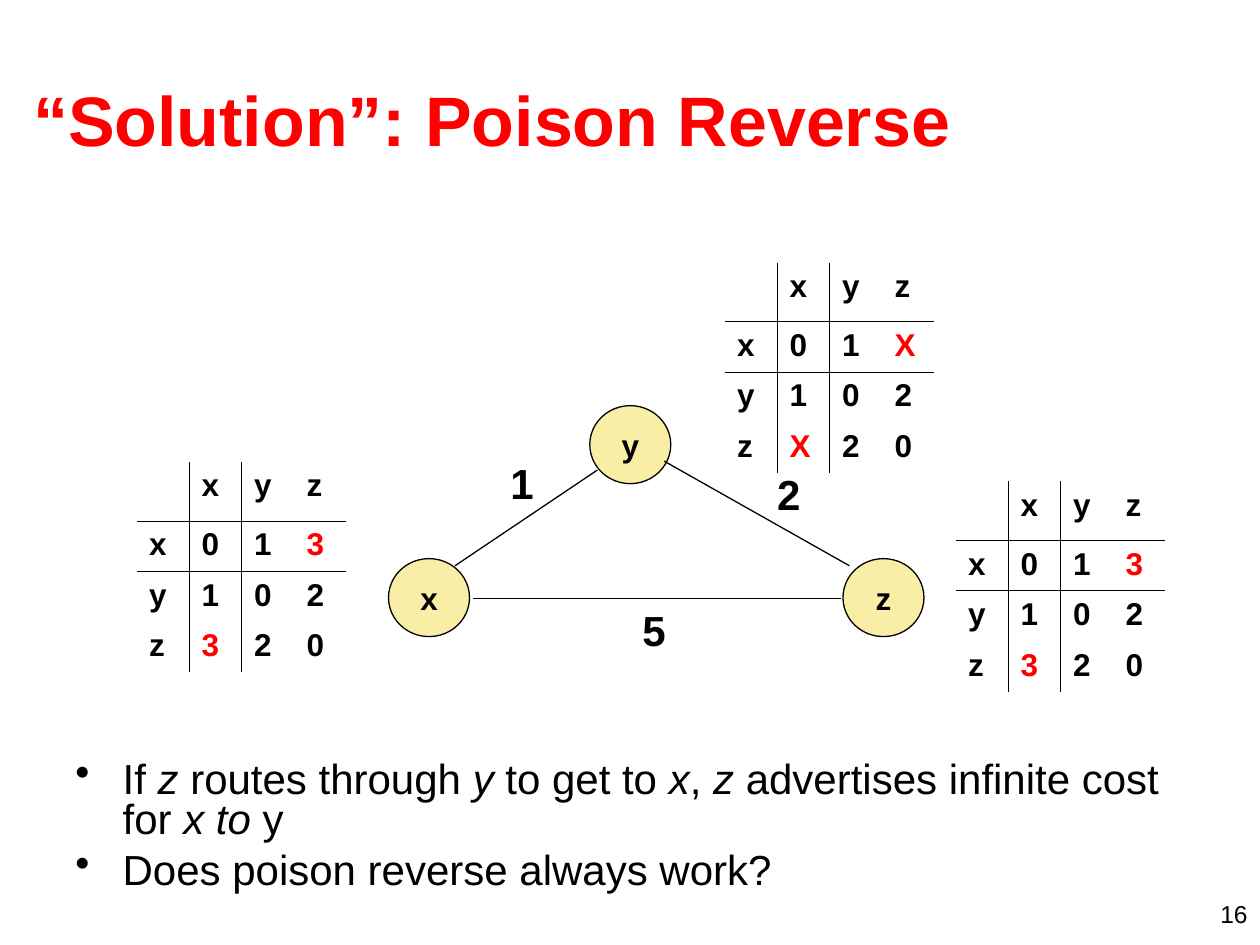
from dataclasses import dataclass

from lxml import etree
from pptx import Presentation
from pptx.dml.color import RGBColor
from pptx.enum.shapes import MSO_CONNECTOR, MSO_SHAPE
from pptx.enum.text import MSO_ANCHOR, PP_ALIGN
from pptx.oxml.ns import qn
from pptx.util import Pt

STRAIGHT = MSO_CONNECTOR.STRAIGHT
OVAL = MSO_SHAPE.OVAL
MIDDLE = MSO_ANCHOR.MIDDLE
TOP = MSO_ANCHOR.TOP
LEFT, CENTER, RIGHT = PP_ALIGN.LEFT, PP_ALIGN.CENTER, PP_ALIGN.RIGHT
PLAIN_TABLE = "{2D5ABB26-0587-4C30-8999-92F81FD0307C}"


@dataclass(frozen=True)
class Theme:
    """Colours, font and type sizes of the slide."""
    font: str = "Arial"
    ink: RGBColor = RGBColor(0x00, 0x00, 0x00)
    accent: RGBColor = RGBColor(0xFF, 0x00, 0x00)
    node: RGBColor = RGBColor(0xF8, 0xEE, 0xA6)
    title_size: float = 40
    body_size: float = 24
    cell_size: float = 18
    number_size: float = 14
    line: float = 0.75
    rule: float = 0.45


THEME = Theme()
NODES = "xyz"


def style(para, size, color=THEME.ink, bold=False, align=LEFT):
    """Set the font and alignment of a paragraph."""
    para.alignment = align
    para.font.name = THEME.font
    para.font.size = Pt(size)
    para.font.bold = bold
    para.font.color.rgb = color


def add_text(page, box, text, size, color=THEME.ink, bold=True, align=LEFT, anchor=TOP):
    """Place one line of text in a box."""
    frame = page.shapes.add_textbox(*map(Pt, box)).text_frame
    frame.word_wrap = True
    frame.vertical_anchor = anchor
    frame.text = text
    style(frame.paragraphs[0], size, color, bold, align)


def add_bullets(page, box, items):
    """Place bulleted paragraphs, each a list of (text, italic) spans."""
    frame = page.shapes.add_textbox(*map(Pt, box)).text_frame
    frame.word_wrap = True
    for index, spans in enumerate(items):
        para = frame.paragraphs[0] if index == 0 else frame.add_paragraph()
        properties = para._p.get_or_add_pPr()
        properties.set("marL", str(Pt(27)))
        properties.set("indent", str(-Pt(27)))
        color = etree.SubElement(properties, qn("a:buClr"))
        etree.SubElement(color, qn("a:srgbClr"), val=str(THEME.ink))
        etree.SubElement(properties, qn("a:buChar"), char="•")
        para.line_spacing = 0.8
        if index:
            para.space_before = Pt(6)
        style(para, THEME.body_size)
        for text, italic in spans:
            span = para.add_run()
            span.text = text
            if italic:
                span.font.italic = True


def add_border(cell, side):
    """Draw a thin rule on one side of a cell."""
    properties = cell._tc.get_or_add_tcPr()
    line = etree.SubElement(properties, qn(f"a:ln{side}"), w=str(Pt(THEME.rule)))
    fill = etree.SubElement(line, qn("a:solidFill"))
    etree.SubElement(fill, qn("a:srgbClr"), val=str(THEME.ink))


def add_distances(page, box, far):
    """Place a distance table, with the x-z distance in the accent colour."""
    rows = [" xyz", "x01" + far, "y102", "z" + far + "20"]
    frame = page.shapes.add_table(4, 4, *map(Pt, box))
    for style_id in frame._element.iter(qn("a:tableStyleId")):
        style_id.text = PLAIN_TABLE
    table = frame.table
    table.first_row = table.horz_banding = False
    table.rows[0].height = Pt(33.75)
    for row in range(1, 4):
        table.rows[row].height = Pt(28.8)
    for row, values in enumerate(rows):
        for column, value in enumerate(values):
            cell = table.cell(row, column)
            sides = {"L": column == 1, "R": column == 0, "T": row == 1, "B": row == 0}
            for side, ruled in sides.items():
                if ruled:
                    add_border(cell, side)
            cell.fill.background()
            cell.text = value.strip()
            color = THEME.accent if {row, column} == {1, 3} else THEME.ink
            style(cell.text_frame.paragraphs[0], THEME.cell_size, color, True)


def add_node(page, box, name):
    """Place a named router circle."""
    oval = page.shapes.add_shape(OVAL, *map(Pt, box))
    oval.shadow.inherit = False
    oval.fill.solid()
    oval.fill.fore_color.rgb = THEME.node
    oval.line.color.rgb = THEME.ink
    oval.line.width = Pt(THEME.line)
    frame = oval.text_frame
    frame.word_wrap = False
    frame.vertical_anchor = MIDDLE
    frame.text = name
    style(frame.paragraphs[0], THEME.cell_size, bold=True, align=CENTER)


def add_link(page, ends):
    """Draw a line between two points."""
    line = page.shapes.add_connector(STRAIGHT, *map(Pt, ends))
    line.line.color.rgb = THEME.ink
    line.line.width = Pt(THEME.line)
    etree.SubElement(line._element.spPr, qn("a:effectLst"))


def add_network(page, box):
    """Place the routers, links and link costs relative to a box."""
    left, top, width, height = box
    node_width, node_height = 46.3, 44.6
    right, base = left + width - node_width, top + height - node_height
    corners = [(left, base), (left + 115, top), (right, base)]
    for name, (x, y) in zip(NODES, corners):
        add_node(page, (x, y, node_width, node_height), name)
    links = [(48, 110.2, 258.4, 110.2), (38, 91.5, 119.4, 36.8), (157.5, 31.7, 263.4, 91.5)]
    for x1, y1, x2, y2 in links:
        add_link(page, (left + x1, top + y1, left + x2, top + y2))
    costs = [("1", 62.5, 26, 34), ("2", 215, 32.5, 34), ("5", 138, 110.2, 54)]
    for cost, x, y, cost_width in costs:
        add_text(page, (left + x, top + y, cost_width, 36), cost, THEME.body_size)


def main():
    """Build the poison reverse slide."""
    deck = Presentation()
    deck.slide_width, deck.slide_height = Pt(720), Pt(540)
    page = deck.slides.add_slide(deck.slide_layouts[6])
    add_text(page, (552, 510, 168, 18), "16", THEME.number_size, bold=False, align=RIGHT)
    add_text(page, (12, 23, 690, 90), "“Solution”: Poison Reverse",
             THEME.title_size, THEME.accent, anchor=MIDDLE)
    add_bullets(page, (36, 432, 648, 84), [
        [("If ", False), ("z", True), (" routes through ", False), ("y", True),
         (" to get to ", False), ("x", True), (", ", False), ("z", True),
         (" advertises infinite cost for ", False), ("x to ", True), ("y", False)],
        [("Does poison reverse always work?", False)],
    ])
    for left, top, far in [(78, 264, "3"), (414, 150, "X"), (546, 275, "3")]:
        add_distances(page, (left, top, 120, 120), far)
    add_network(page, (222, 231.8, 306, 132))
    deck.save("out.pptx")


if __name__ == "__main__":
    main()
